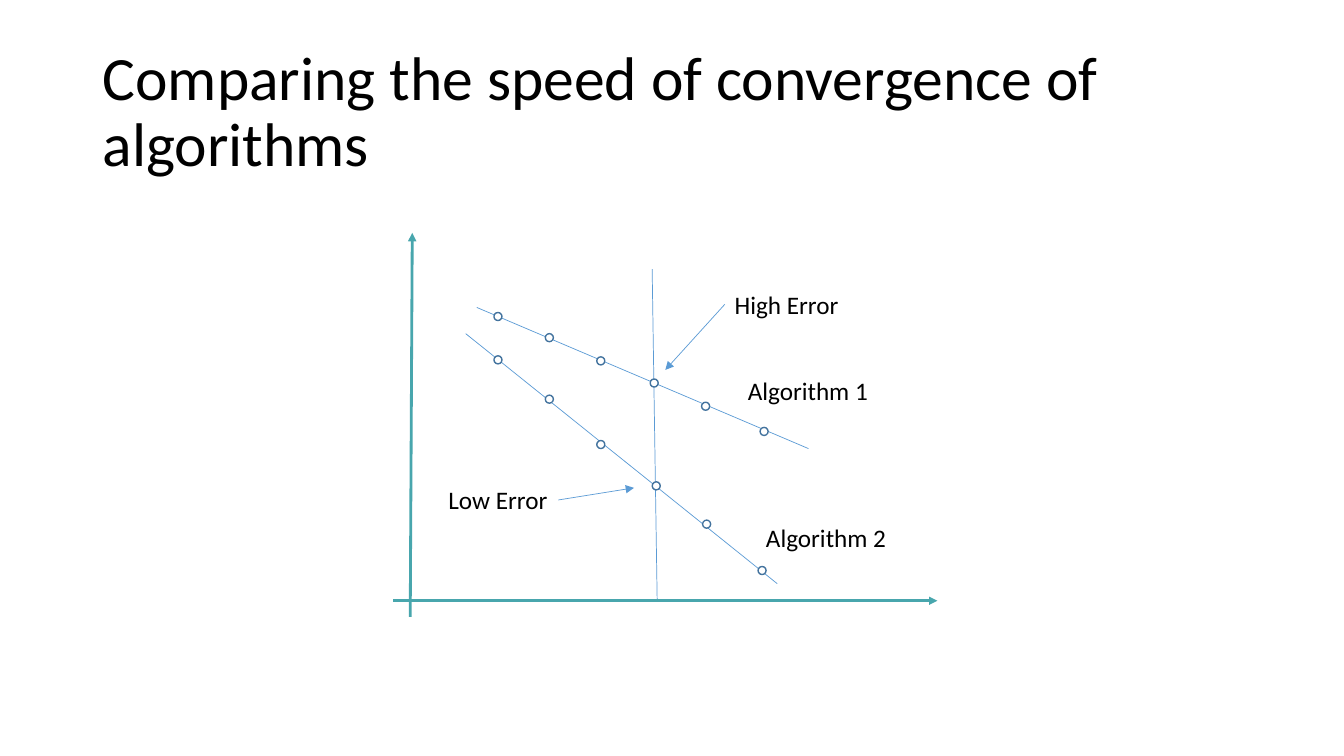
from lxml.etree import SubElement
from pptx import Presentation
from pptx.dml.color import RGBColor
from pptx.enum.shapes import MSO_CONNECTOR, MSO_SHAPE
from pptx.enum.text import MSO_ANCHOR, MSO_AUTO_SIZE
from pptx.oxml.ns import qn
from pptx.util import Inches, Pt

BLACK = RGBColor(0x00, 0x00, 0x00)
WHITE = RGBColor(0xFF, 0xFF, 0xFF)
TEAL = RGBColor(0x48, 0xA6, 0xAD)
BLUE = RGBColor(0x5B, 0x9B, 0xD5)
DARK_BLUE = RGBColor(0x43, 0x73, 0x9E)
FONT = "Calibri"

# Square grid: ten cells to the inch
COLUMNS, ROWS = 133.33, 75
DOT = 0.8
LABEL_HEIGHT = 4

# Per algorithm: both ends of the line, then the dot centres
ALGORITHMS = [
    ((47.3, 30.5), (80.2, 44.5),
     [(49.4, 31.4), (54.5, 33.5), (59.6, 35.8), (64.9, 38), (70, 40.3), (75.8, 42.8)]),
    ((46.2, 33.1), (77.1, 57.9),
     [(49.4, 35.7), (54.5, 39.6), (59.6, 44.1), (65.1, 48.2), (70.1, 52), (75.6, 56.6)]),
]


def cells(count):
    return Inches(count / 10)


def add_text(page, text, left, top, width, height, size):
    box = page.shapes.add_textbox(*map(cells, (left, top, width, height)))
    box.text_frame.text = text
    font = box.text_frame.paragraphs[0].runs[0].font
    font.name, font.size = FONT, Pt(size)
    font.color.rgb = BLACK
    return box


def add_title(page, text):
    frame = add_text(page, text, 9.2, 4, 115, 14.5, 44).text_frame
    frame.word_wrap = True
    frame.vertical_anchor = MSO_ANCHOR.MIDDLE
    frame.paragraphs[0].line_spacing = 0.9


def add_label(page, text, left, top, width):
    box = add_text(page, text, left, top, width, LABEL_HEIGHT, 18)
    box.text_frame.word_wrap = False
    box.text_frame.auto_size = MSO_AUTO_SIZE.SHAPE_TO_FIT_TEXT
    return box


def add_line(page, start, end, color=BLUE, weight=0.5, arrow=False):
    line = page.shapes.add_connector(
        MSO_CONNECTOR.STRAIGHT, *map(cells, (*start, *end)))
    line.line.color.rgb = color
    line.line.width = Pt(weight)
    properties = line._element.spPr
    if arrow:
        SubElement(properties.find(qn("a:ln")), qn("a:tailEnd"), type="triangle")
    SubElement(properties, qn("a:effectLst"))
    return line


def add_dot(page, column, row):
    dot = page.shapes.add_shape(
        MSO_SHAPE.OVAL,
        *map(cells, (column - DOT / 2, row - DOT / 2, DOT, DOT)))
    dot.shadow.inherit = False
    dot.fill.solid()
    dot.fill.fore_color.rgb = WHITE
    dot.line.color.rgb = DARK_BLUE
    dot.line.width = Pt(1)


def add_callout(page, text, left, top, width, side, target):
    """Label with an arrow from the middle of its side (1 left, 3 right)."""
    box = add_label(page, text, left, top, width)
    start = (left if side == 1 else left + width, top + LABEL_HEIGHT / 2)
    add_line(page, start, target, arrow=True).begin_connect(box, side)


def main():
    deck = Presentation()
    deck.slide_width, deck.slide_height = cells(COLUMNS), cells(ROWS)
    page = deck.slides.add_slide(deck.slide_layouts[6])

    # Moment of comparison, title and axes
    add_line(page, (64.7, 26.7), (65.2, 59.7))
    add_title(page, "Comparing the speed of convergence of algorithms")
    add_line(page, (39, 59.6), (93, 59.6), TEAL, 2, arrow=True)
    add_line(page, (40.7, 61.2), (40.9, 23.1), TEAL, 2, arrow=True)

    # Error lines, with the dots on top
    for start, end, _ in ALGORITHMS:
        add_line(page, start, end)
    for _, _, dots in ALGORITHMS:
        for column, row in dots:
            add_dot(page, column, row)

    # Labels
    add_label(page, "Algorithm 1", 73.2, 36.7, 14.1)
    add_label(page, "Algorithm 2", 75, 51.3, 14.1)
    add_callout(page, "High Error", 71.9, 28.2, 12.4, 1, (66, 36.7))
    add_callout(page, "Low Error", 43.5, 47.6, 11.9, 3, (62.9, 48.4))

    deck.save("out.pptx")


if __name__ == "__main__":
    main()
